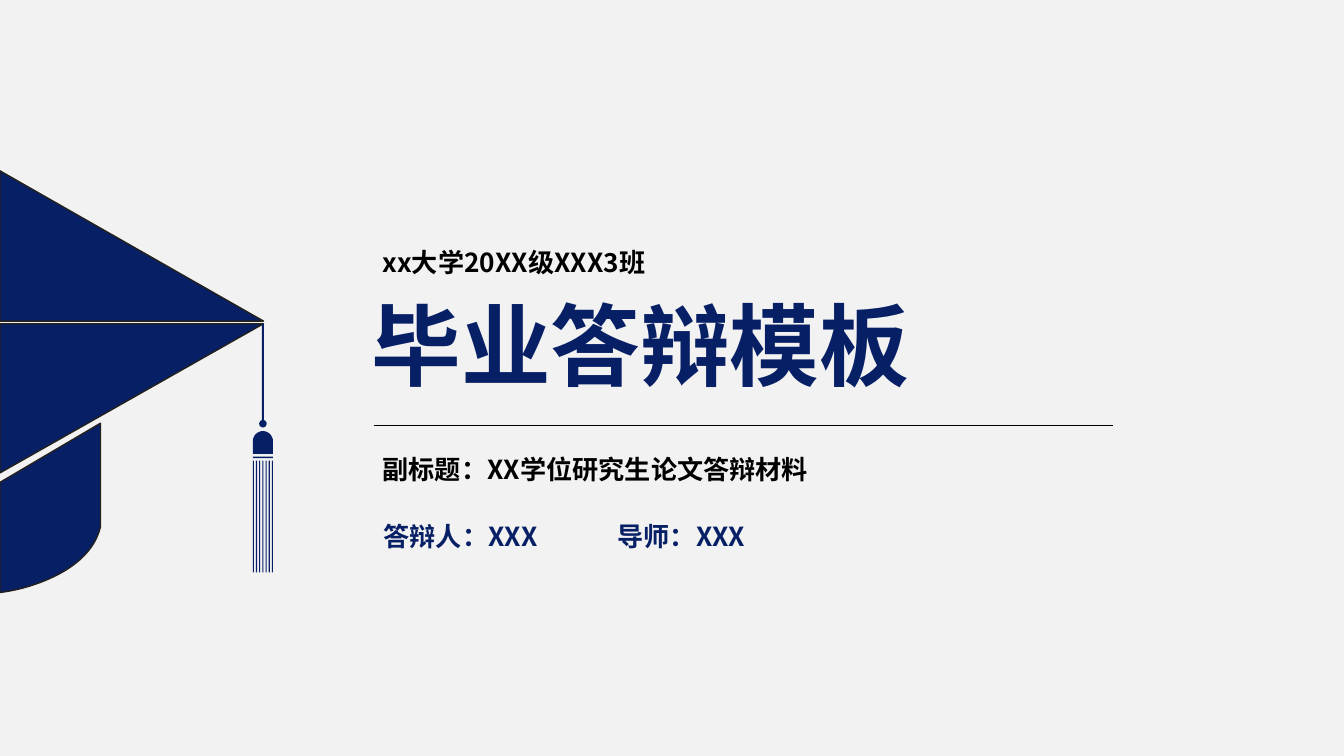
"""Build the cover slide of a graduation defence deck."""
from dataclasses import dataclass
from math import cos, pi, sin

from lxml.etree import SubElement
from pptx import Presentation
from pptx.dml.color import RGBColor
from pptx.enum.shapes import MSO_CONNECTOR
from pptx.enum.text import MSO_ANCHOR, MSO_AUTO_SIZE, PP_ALIGN
from pptx.oxml.ns import qn
from pptx.util import Cm, Pt


@dataclass(frozen=True)
class Theme:
    background: RGBColor = RGBColor(0xF2, 0xF2, 0xF2)
    navy: RGBColor = RGBColor(0x07, 0x1F, 0x65)
    black: RGBColor = RGBColor(0, 0, 0)
    outline: RGBColor = RGBColor(0x24, 0x21, 0x1D)
    font: str = "Noto Sans CJK SC"
    title_size: Pt = Pt(48)
    body_size: Pt = Pt(14)


theme = Theme()


def write_text(shape, text, size, color, wrap=True):
    frame = shape.text_frame
    frame.margin_left = frame.margin_right = Cm(0.19)
    frame.margin_top = frame.margin_bottom = Cm(0.1)
    frame.vertical_anchor = MSO_ANCHOR.TOP
    frame.word_wrap = wrap
    frame.auto_size = MSO_AUTO_SIZE.SHAPE_TO_FIT_TEXT
    paragraph = frame.paragraphs[0]
    run = paragraph.add_run()
    run.text = text
    run.font.size = size
    run.font.bold = True
    run.font.name = theme.font
    run.font.color.rgb = color
    east_asian = SubElement(run.font._element, qn("a:ea"))
    east_asian.set("typeface", theme.font)
    return paragraph


def draw_outline(slide, contours):
    contours = [[(Cm(x), Cm(y)) for x, y in contour] for contour in contours]
    builder = slide.shapes.build_freeform(*contours[0][0])
    for index, contour in enumerate(contours):
        if index:
            builder.move_to(*contour[0])
        builder.add_line_segments(contour[1:], close=True)
    shape = builder.convert_to_shape()
    shape.shadow.inherit = False
    shape.fill.solid()
    shape.fill.fore_color.rgb = theme.navy
    return shape


presentation = Presentation()
presentation.slide_width = Cm(25.4)
presentation.slide_height = Cm(14.29)
slide = presentation.slides.add_slide(presentation.slide_layouts[5])
slide.background.fill.solid()
slide.background.fill.fore_color.rgb = theme.background

title = slide.shapes.title
title.left, title.top, title.width, title.height = Cm(6.83), Cm(5.38), Cm(14.2), Cm(2.24)
title_paragraph = write_text(title, "毕业答辩模板", theme.title_size, theme.navy)
title_paragraph.alignment = PP_ALIGN.JUSTIFY

labels = [
    ("xx大学20XX级XXX3班", 7.04, 4.55, 9.5, 0.79, theme.black, True, 1),
    ("副标题：XX学位研究生论文答辩材料", 7.04, 8.18, 9.5, 1.09, theme.black, True, 1.5),
    ("答辩人：XXX", 7.06, 9.73, 3.43, 0.79, theme.navy, False, 1),
    ("导师：XXX", 11.48, 9.73, 2.92, 0.79, theme.navy, False, 1),
]
for text, left, top, width, height, color, wrap, spacing in labels:
    box = slide.shapes.add_textbox(Cm(left), Cm(top), Cm(width), Cm(height))
    paragraph = write_text(box, text, theme.body_size, color, wrap)
    paragraph.line_spacing = spacing

divider = slide.shapes.add_connector(
    MSO_CONNECTOR.STRAIGHT, Cm(7.06), Cm(8.05), Cm(21.03), Cm(8.05))
divider.line.color.rgb = theme.black
divider.line.width = Pt(0.5)
SubElement(divider._element.spPr, qn("a:effectLst"))

curve_controls = [(1.9, 9.96), (1.7, 10.82), (0.48, 11.15), (0, 11.2)]
cap_curve = []
for step in range(25):
    t = step / 24
    weights = [(1 - t) ** 3, 3 * t * (1 - t) ** 2, 3 * t ** 2 * (1 - t), t ** 3]
    cap_curve.append(tuple(
        sum(weight * point[axis] for weight, point in zip(weights, curve_controls))
        for axis in (0, 1)))
cap = draw_outline(slide, [
    [(0, 3.23), (4.98, 6.07), (0, 6.07)],
    [(4.98, 6.12), (0, 8.94), (0, 6.12)],
    cap_curve + [(0, 9.12), (1.9, 8)],
])
cap.line.color.rgb = theme.outline
cap.line.width = Pt(0)

center, half_width = 4.97, 0.19
left, right = center - half_width, center + half_width
bars = [(center - 0.02, 6.12, center + 0.02, 7.94), (left, 8.63, right, 8.66)]
for strand in range(7):
    strand_left = left + 0.06 * strand
    bars.append((strand_left, 8.71, strand_left + 0.02, 10.82))
tassel_contours = [[(x1, y1), (x2, y1), (x2, y2), (x1, y2)] for x1, y1, x2, y2 in bars]
knot = [(center + 0.07 * cos(pi * step / 12), 8.01 + 0.07 * sin(pi * step / 12))
        for step in range(24)]
dome = [(center - half_width * cos(pi * step / 16), 8.34 - half_width * sin(pi * step / 16))
        for step in range(17)]
tassel = draw_outline(slide, tassel_contours + [knot, dome + [(right, 8.58), (left, 8.58)]])
tassel.line.fill.background()

presentation.save("out.pptx")
